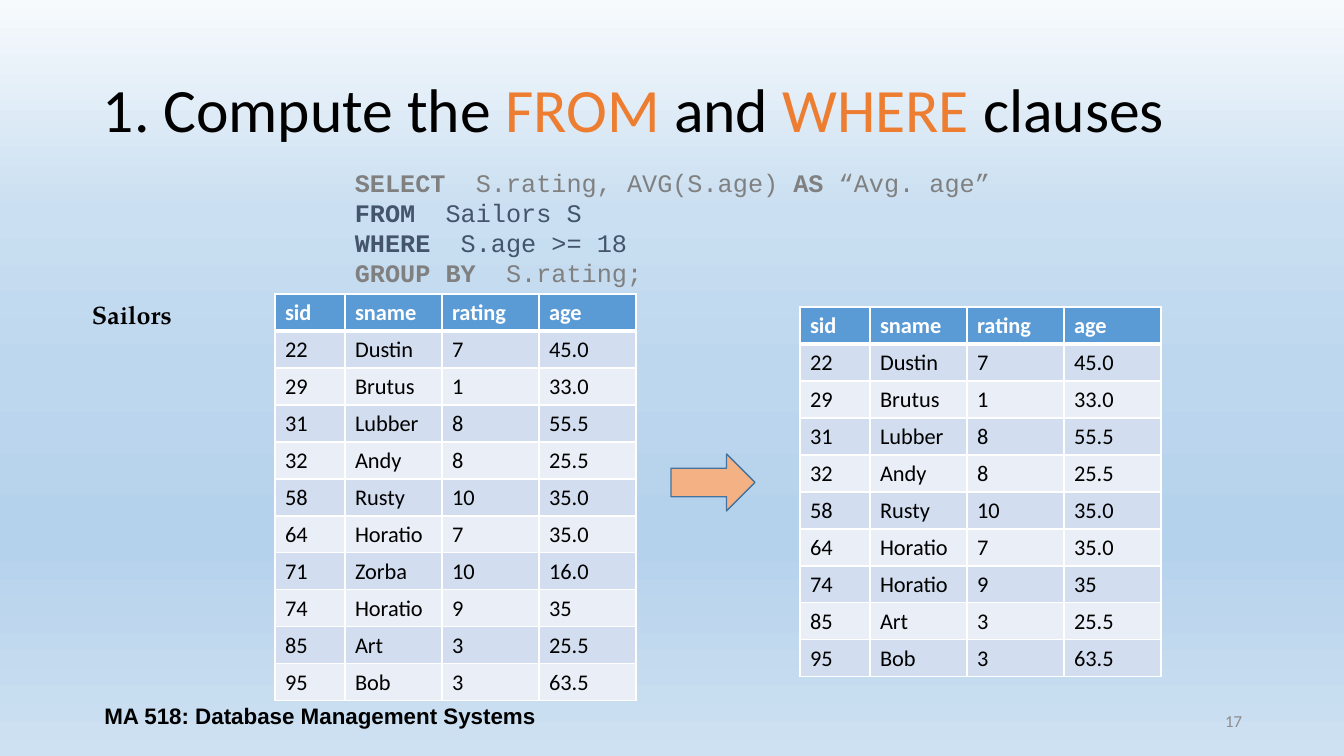
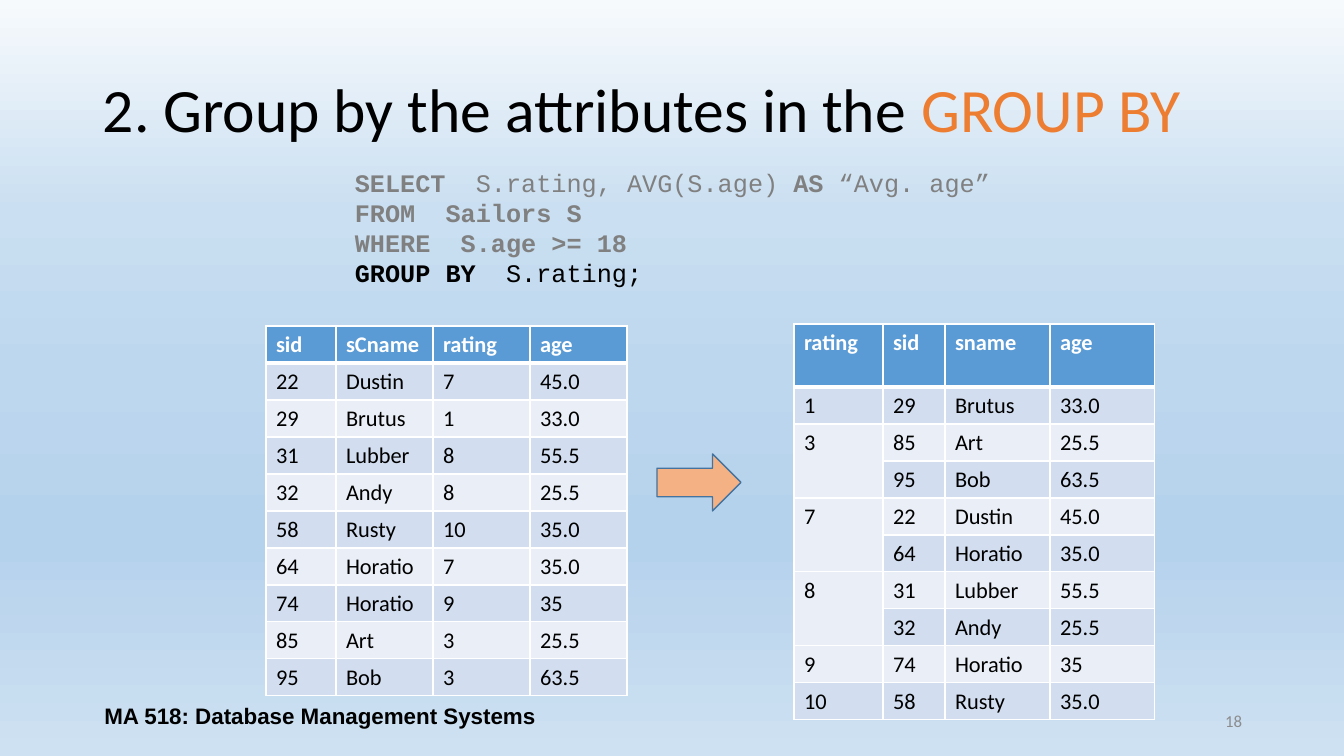
"""Build two slides that walk through a grouped SQL query."""
import itertools

import lxml.etree
import pptx
import pptx.dml.color
import pptx.enum.shapes
import pptx.enum.text
import pptx.oxml.ns
import pptx.util

ALIGN = pptx.enum.text.PP_ALIGN
MIDDLE = pptx.enum.text.MSO_ANCHOR.MIDDLE
qn = pptx.oxml.ns.qn

WIDTH, HEIGHT = 1344, 756
EMU_PER_PX = 914400 / 100.8
BLACK, WHITE, GREY, SLATE, ORANGE = "000000", "FFFFFF", "808080", "44546A", "ED7D31"
HEAD, BANDS = "5B9BD5", ("D2DEEF", "EAEFF7")
ARROW, ARROW_LINE, NUMBER = "F4B183", "43739E", "8C8C8C"
SKY = [(0, "F7FAFD"), (28, "CADFF1"), (49, "BDD7EE"),
       (71, "B5D2EC"), (72, "B5D2EC"), (100, "CEE1F2")]

FOOTER = "MA 518: Database Management Systems"
ROW_H = 37
COLS = (70, 97, 97, 97)
GROUP_COLS = (89, 62, 105, 105)

HEADER = ("sid", "sname", "rating", "age")
SAILORS = [
    ("22", "Dustin", "7", "45.0"),
    ("29", "Brutus", "1", "33.0"),
    ("31", "Lubber", "8", "55.5"),
    ("32", "Andy", "8", "25.5"),
    ("58", "Rusty", "10", "35.0"),
    ("64", "Horatio", "7", "35.0"),
    ("71", "Zorba", "10", "16.0"),
    ("74", "Horatio", "9", "35"),
    ("85", "Art", "3", "25.5"),
    ("95", "Bob", "3", "63.5"),
]
ADULTS = [row for row in SAILORS if float(row[3]) >= 18]
GROUPED = [(rating, sid, name, age) for sid, name, rating, age
           in sorted(ADULTS, key=lambda row: int(row[2]))]

SELECT = [("SELECT  ", GREY, True), ("S.rating, AVG(S.age) ", GREY, False),
          ("AS", GREY, True), (" “Avg. age”", GREY, False)]

SLIDES = [
    {
        "number": "17",
        "title": [("1. Compute the ", BLACK, False), ("FROM ", ORANGE, False),
                  ("and ", BLACK, False), ("WHERE ", ORANGE, False),
                  ("clauses", BLACK, False)],
        "query": [
            SELECT,
            [("FROM ", SLATE, True), (" Sailors S", SLATE, False)],
            [("WHERE  ", SLATE, True), ("S.age >= 18", SLATE, False)],
            [("GROUP BY  ", GREY, True), ("S.rating;", GREY, False)],
        ],
        "label": "Sailors",
        "arrow": 671,
        "tables": [
            {"at": (275, 294), "cols": COLS, "rows": [HEADER, *SAILORS]},
            {"at": (800, 307), "cols": COLS, "rows": [HEADER, *ADULTS]},
        ],
    },
    {
        "number": "18",
        "title": [("2. Group by the attributes in the ", BLACK, False),
                  ("GROUP BY", ORANGE, False)],
        "query": [
            SELECT,
            [("FROM  Sailors S", GREY, True)],
            [("WHERE  S.age >= 18", GREY, True)],
            [("GROUP BY  ", BLACK, True), ("S.rating;", BLACK, False)],
        ],
        "arrow": 657,
        "tables": [
            {"at": (266, 326), "cols": COLS,
             "rows": [("sid", "sCname", "rating", "age"), *ADULTS]},
            {"at": (794, 324), "cols": GROUP_COLS, "head_h": 63, "grouped": True,
             "rows": [("rating", "sid", "sname", "age"), *GROUPED]},
        ],
    },
]


def px(n):
    return pptx.util.Emu(round(n * EMU_PER_PX))


def rgb(color):
    return pptx.dml.color.RGBColor.from_string(color)


def write(tf, lines, size, font, align=ALIGN.LEFT, spacing=None):
    for i, line in enumerate(lines):
        p = tf.add_paragraph() if i else tf.paragraphs[0]
        p.alignment = align
        p.line_spacing = spacing
        for text, color, bold in line:
            r = p.add_run()
            r.text = text
            r.font.size = pptx.util.Pt(size)
            r.font.name = font
            r.font.bold = bold
            r.font.color.rgb = rgb(color)


def add_text(s, box, lines, size, font, anchor=None, **style):
    tf = s.shapes.add_textbox(*map(px, box)).text_frame
    tf.word_wrap = True
    tf.vertical_anchor = anchor
    write(tf, lines, size, font, **style)


def add_color(parent, color):
    lxml.etree.SubElement(parent, qn("a:srgbClr"), val=color)


def paint_background(master):
    fill = master.background.fill
    fill.gradient()
    fill.gradient_angle = 270
    stops = master.element.find(".//" + qn("a:gsLst"))
    for old in list(stops):
        stops.remove(old)
    for percent, color in SKY:
        add_color(lxml.etree.SubElement(stops, qn("a:gs"), pos=str(percent * 1000)), color)


def set_borders(cell, top, bottom):
    tc_pr = cell._tc.get_or_add_tcPr()
    for i, (side, width) in enumerate((("L", 1), ("R", 1), ("T", top), ("B", bottom))):
        ln = lxml.etree.Element(qn("a:ln" + side), w=str(pptx.util.Pt(width)))
        add_color(lxml.etree.SubElement(ln, qn("a:solidFill")), WHITE)
        tc_pr.insert(i, ln)


def add_data_table(s, at, cols, rows, head_h=ROW_H, grouped=False):
    heights = [head_h] + [ROW_H] * (len(rows) - 1)
    box = (*at, sum(cols), sum(heights))
    table = s.shapes.add_table(len(rows), len(cols), *map(px, box)).table
    table.horz_banding = False
    for column, width in zip(table.columns, cols):
        column.width = px(width)
    for i, row in enumerate(rows):
        table.rows[i].height = px(heights[i])
        for j, text in enumerate(row):
            cell = table.cell(i, j)
            cell.fill.solid()
            cell.fill.fore_color.rgb = rgb(BANDS[(i - 1) % 2] if i else HEAD)
            set_borders(cell, 3 if i == 1 else 1, 1 if i else 3)
            if not (grouped and j == 0 and i and rows[i - 1][0] == text):
                write(cell.text_frame, [[(text, BLACK if i else WHITE, i == 0)]], 16, "Calibri")
    if grouped:
        first = 1
        for _, group in itertools.groupby(rows[1:], key=lambda row: row[0]):
            last = first + len(list(group)) - 1
            if last > first:
                table.cell(first, 0).merge(table.cell(last, 0))
            first = last + 1


def add_arrow(s, left):
    sp = s.shapes.add_shape(pptx.enum.shapes.MSO_SHAPE.RIGHT_ARROW,
                            *map(px, (left, 454, 84, 57)))
    sp.shadow.inherit = False
    sp.fill.solid()
    sp.fill.fore_color.rgb = rgb(ARROW)
    sp.line.color.rgb = rgb(ARROW_LINE)
    sp.line.width = pptx.util.Pt(1)


def add_slide(prs, content):
    s = prs.slides.add_slide(prs.slide_layouts[6])
    add_text(s, (93, 40, 1159, 146), [content["title"]], 44, "Calibri", MIDDLE, spacing=0.9)
    add_text(s, (950, 701, 302, 40), [[(content["number"], NUMBER, False)]],
             12, "Calibri", MIDDLE, align=ALIGN.RIGHT)
    add_text(s, (93, 696, 454, 40), [[(FOOTER, BLACK, True)]],
             16, "Arial", MIDDLE, align=ALIGN.CENTER)
    add_text(s, (345, 162, 709, 132), content["query"], 18, "Courier New")
    if "label" in content:
        add_text(s, (82, 294, 202, 40), [[(content["label"], BLACK, True)]],
                 18, "TeX Gyre Pagella")
    for table in content["tables"]:
        add_data_table(s, **table)
    add_arrow(s, content["arrow"])


def main():
    prs = pptx.Presentation()
    prs.slide_width, prs.slide_height = px(WIDTH), px(HEIGHT)
    paint_background(prs.slide_master)
    for content in SLIDES:
        add_slide(prs, content)
    prs.save("out.pptx")


if __name__ == "__main__":
    main()
